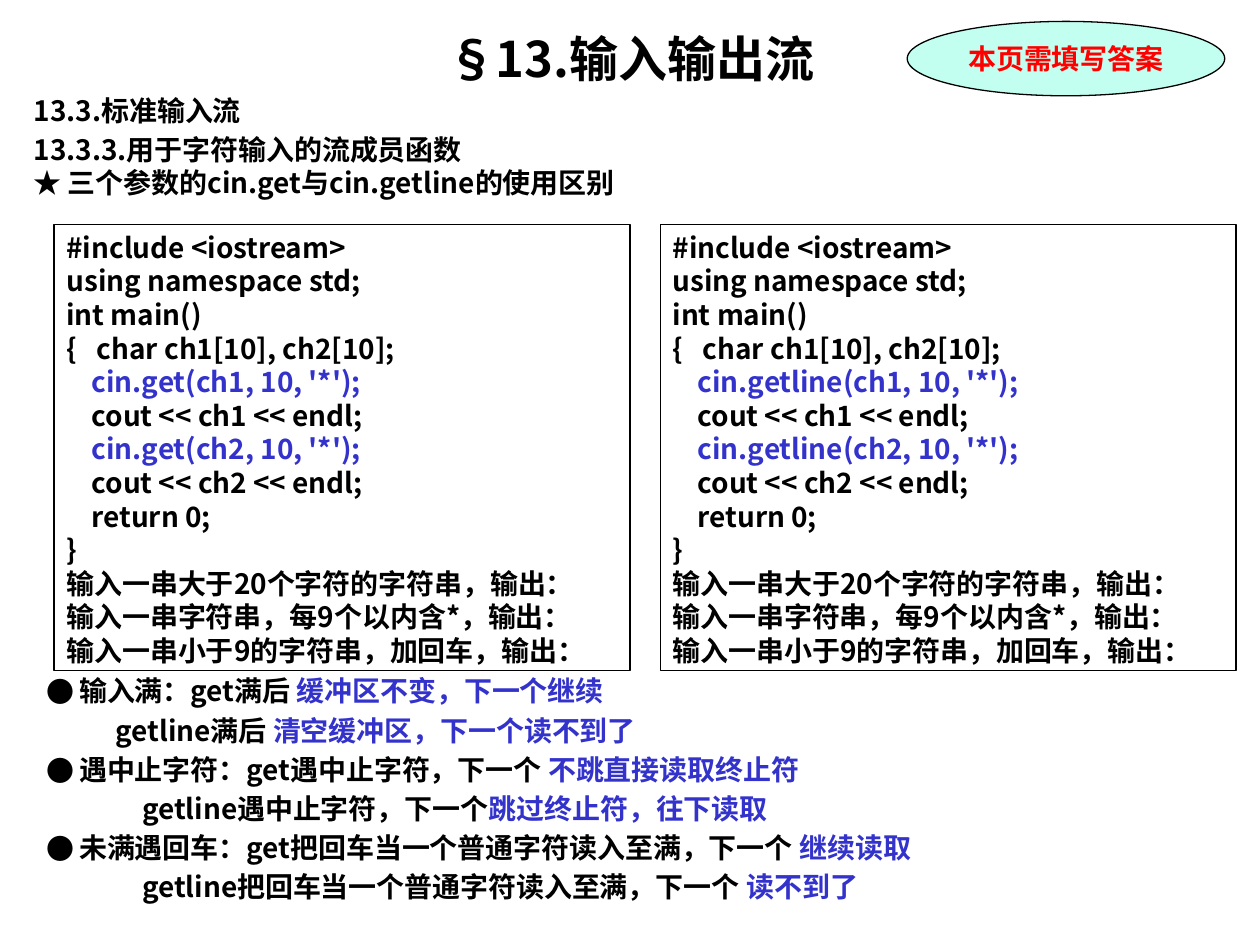
from dataclasses import dataclass

from lxml.etree import SubElement
from pptx import Presentation
from pptx.dml.color import RGBColor
from pptx.enum.shapes import MSO_SHAPE as Shape
from pptx.enum.text import MSO_ANCHOR as Anchor, PP_ALIGN as Align
from pptx.oxml.ns import qn
from pptx.util import Inches, Pt

SANS = "Noto Sans CJK SC"
SERIF = "Times New Roman"
BLACK, BLUE, RED, MINT = "000000", "3333CC", "FF0000", "C2FFF0"
GAP = 3.2


@dataclass
class Run:
    """A stretch of text in one colour."""
    text: str
    color: str = BLACK


@dataclass
class Line:
    """A paragraph; lengths in inches, space before in points."""
    runs: list[Run]
    left: float = 0
    hang: float = 0
    before: float = 0
    mark: str = ""


def rgb(code: str) -> RGBColor:
    """Turn a hex string into a colour."""
    return RGBColor.from_string(code)


def add_run(para, part: Run, size: float = 16, face: str = SANS) -> None:
    """Add one bold run to a paragraph."""
    run = para.add_run()
    run.text = part.text
    font = run.font
    font.size, font.bold, font.name = Pt(size), True, face
    font.color.rgb = rgb(part.color)
    SubElement(font._element, qn("a:ea")).set("typeface", SANS)


def write(frame, lines: list[Line]) -> None:
    """Fill a text frame with left-aligned lines."""
    frame.word_wrap = True
    frame.vertical_anchor = Anchor.TOP
    for i, line in enumerate(lines):
        para = frame.add_paragraph() if i else frame.paragraphs[0]
        para.alignment = Align.LEFT
        para.line_spacing = Pt(19.2)
        para.space_before = Pt(line.before)
        props = para._p.get_or_add_pPr()
        props.set("marL", str(Inches(line.left)))
        props.set("indent", str(Inches(-line.hang)))
        if line.mark:
            SubElement(props, qn("a:buFont")).set("typeface", SANS)
            SubElement(props, qn("a:buChar")).set("char", line.mark)
        for part in line.runs:
            add_run(para, part)


def add_text(slide, top: float, left: float, high: float,
             lines: list[Line]) -> None:
    """Add a plain text box reaching the right margin."""
    box = slide.shapes.add_textbox(
        Inches(left), Inches(top), Inches(9.84 - left), Inches(high))
    write(box.text_frame, lines)


def add_frame(slide, kind, left: float, top: float, wide: float,
              high: float, fill: str = ""):
    """Add a thinly outlined shape and return it."""
    shape = slide.shapes.add_shape(
        kind, Inches(left), Inches(top), Inches(wide), Inches(high))
    shape.shadow.inherit = False
    shape.line.color.rgb = rgb(BLACK)
    shape.line.width = Pt(0.75)
    if fill:
        shape.fill.solid()
        shape.fill.fore_color.rgb = rgb(fill)
    else:
        shape.fill.background()
    return shape


def code(call: str) -> list[Line]:
    """Return the sample program that reads with the given call."""
    body = []
    for name in ("ch1", "ch2"):
        body += [Run(f"cin.{call}({name}, 10, '*');", BLUE),
                 Run(f"cout << {name} << endl;")]
    body.append(Run("return 0;"))
    head = ["#include <iostream>", "using namespace std;", "int main()"]
    tail = ["}", "输入一串大于20个字符的字符串，输出：",
            "输入一串字符串，每9个以内含*，输出：",
            "输入一串小于9的字符串，加回车，输出："]
    return [*(Line([Run(text)]) for text in head),
            Line([Run("{\tchar ch1[10], ch2[10];")], 0.24, 0.24),
            *(Line([part], 0.2) for part in body),
            *(Line([Run(text)]) for text in tail)]


def note(text: str, reply: str, left: float = 0) -> Line:
    """Return a remark with its blue answer, bulleted unless indented."""
    runs = [Run(text), Run(reply, BLUE)]
    if left:
        return Line(runs, left, before=GAP)
    return Line(runs, 0.26, 0.26, GAP, "●")


HEADS = [
    Line([Run("13.3.标准输入流")]),
    Line([Run("13.3.3.用于字符输入的流成员函数")], before=GAP),
    Line([Run("★ 三个参数的cin.get与cin.getline的使用区别")]),
]
NOTES = [
    note("输入满：get满后 ", "缓冲区不变，下一个继续"),
    note("getline满后 ", "清空缓冲区，下一个读不到了", 0.55),
    note("遇中止字符：get遇中止字符，下一个 ", "不跳直接读取终止符"),
    note("getline遇中止字符，下一个", "跳过终止符，往下读取", 0.76),
    note("未满遇回车：get把回车当一个普通字符读入至满，下一个 ", "继续读取"),
    note("getline把回车当一个普通字符读入至满，下一个 ", "读不到了", 0.76),
]
NOTES[0].before = 0


def main() -> None:
    """Build the slide and save it."""
    deck = Presentation()
    deck.slide_width, deck.slide_height = Inches(10), Inches(7.5)
    slide = deck.slides.add_slide(deck.slide_layouts[5])

    title = slide.shapes.title
    title.left, title.top = Inches(0.17), Inches(0.17)
    title.width, title.height = Inches(9.67), Inches(0.58)
    title.text_frame.vertical_anchor = Anchor.MIDDLE
    para = title.text_frame.paragraphs[0]
    para.alignment = Align.CENTER
    add_run(para, Run("§13.输入输出流"), 28)

    add_text(slide, 0.69, 0.17, 1, HEADS)
    add_text(slide, 5.3, 0.27, 2, NOTES)
    for left, call in ((0.43, "get"), (5.24, "getline")):
        box = add_frame(slide, Shape.RECTANGLE, left, 1.78, 4.57, 3.54)
        write(box.text_frame, code(call))

    badge = add_frame(slide, Shape.OVAL, 7.2, 0.17, 2.52, 0.59, MINT)
    badge.text_frame.word_wrap = False
    badge.text_frame.vertical_anchor = Anchor.MIDDLE
    para = badge.text_frame.paragraphs[0]
    para.alignment = Align.CENTER
    add_run(para, Run("本页需填写答案", RED), face=SERIF)

    deck.save("out.pptx")


main()
